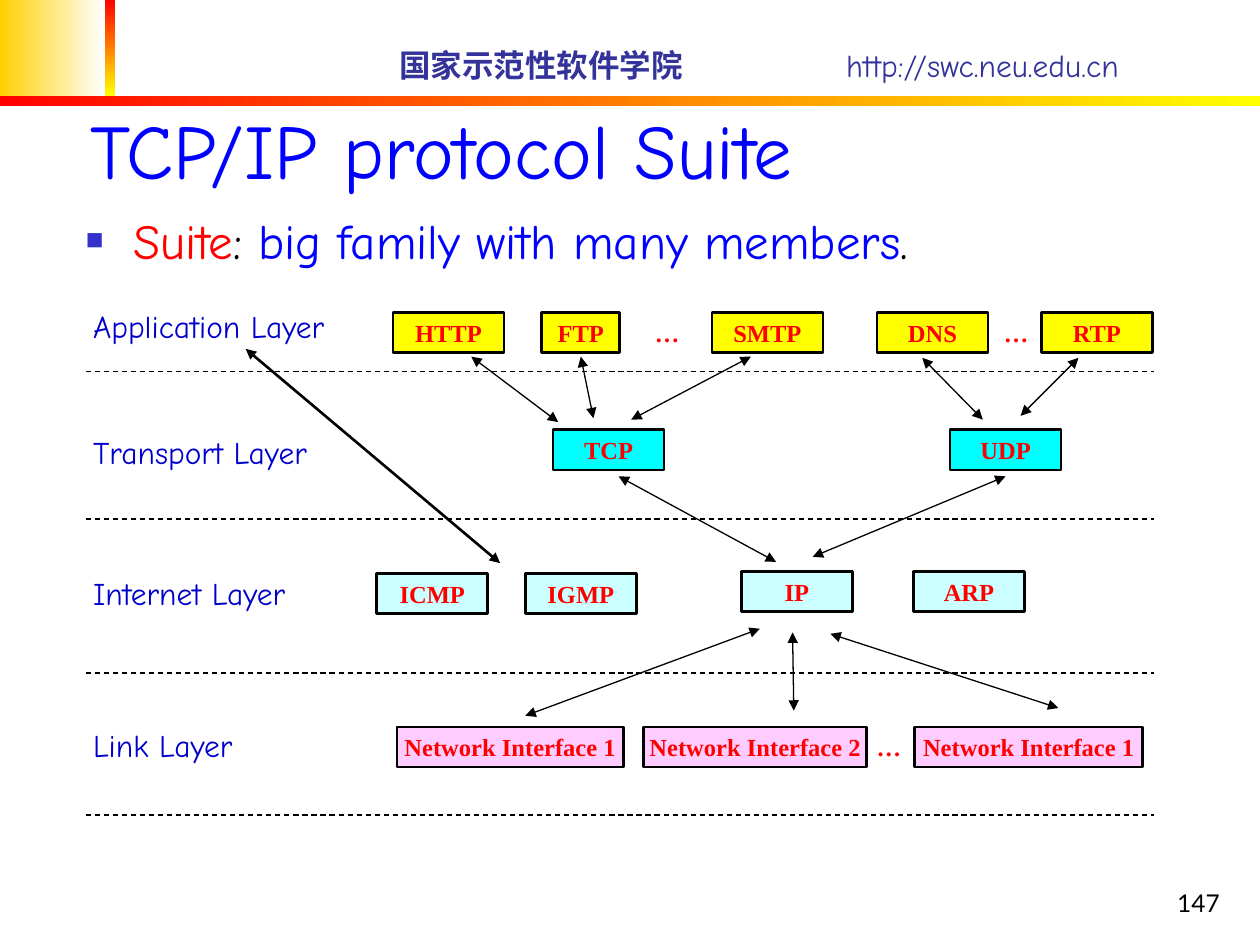
import pptx
import pptx.dml.color
import pptx.enum.dml
import pptx.enum.shapes
import pptx.enum.text
import pptx.oxml.ns
import pptx.util
from lxml import etree

Pt = pptx.util.Pt
qn = pptx.oxml.ns.qn
ALIGN = pptx.enum.text.PP_ALIGN
ANCHOR = pptx.enum.text.MSO_ANCHOR
RECT = pptx.enum.shapes.MSO_SHAPE.RECTANGLE
STRAIGHT = pptx.enum.shapes.MSO_CONNECTOR.STRAIGHT


def rgb(value):
    return pptx.dml.color.RGBColor.from_string(value)


class SlideBuilder:
    HAND = "Comic Neue"
    SERIF = "Times New Roman"
    BLACK = "000000"
    RED = "FF0000"
    BLUE = "0000FF"
    BOX_HEIGHT = 23

    def __init__(self, slide):
        self.s = slide

    def run(self, p, text, size, color, font=HAND, bold=False):
        r = p.add_run()
        r.text = text
        r.font.size = Pt(size)
        r.font.name = font
        r.font.bold = bold
        r.font.color.rgb = rgb(color)

    def place(self, sp, x, y, w, h):
        sp.left, sp.top, sp.width, sp.height = Pt(x), Pt(y), Pt(w), Pt(h)

    def frame(self, sp, anchor, wrap=True, align=ALIGN.LEFT):
        """Set up the text frame and return its first paragraph."""
        tf = sp.text_frame
        tf.auto_size = pptx.enum.text.MSO_AUTO_SIZE.NONE
        tf.word_wrap = wrap
        tf.vertical_anchor = anchor
        p = tf.paragraphs[0]
        p.alignment = align
        return p

    def title(self, text):
        sp = self.s.shapes.title
        self.place(sp, 44.6, 0, 613.4, 115.2)
        self.run(self.frame(sp, ANCHOR.BOTTOM), text, 44, self.BLUE)

    def bullet(self, parts):
        sp = self.s.placeholders[1]
        self.place(sp, 41.8, 116.6, 641.5, 365.8)
        p = self.frame(sp, ANCHOR.TOP)
        pPr = p._p.get_or_add_pPr()
        pPr.set("marL", str(Pt(27)))
        pPr.set("indent", str(-Pt(27)))
        color = etree.SubElement(pPr, qn("a:buClr"))
        etree.SubElement(color, qn("a:srgbClr"), val="3333CC")
        etree.SubElement(pPr, qn("a:buSzPct"), val="60000")
        etree.SubElement(pPr, qn("a:buChar"), char="■")
        p.space_before = Pt(0)
        for text, part_color in parts:
            self.run(p, text, 28, part_color)

    def text(self, text, x, y, w, h, size, color, font=HAND, bold=False,
             anchor=ANCHOR.MIDDLE, wrap=True, align=ALIGN.LEFT):
        sp = self.s.shapes.add_textbox(Pt(x), Pt(y), Pt(w), Pt(h))
        p = self.frame(sp, anchor, wrap, align)
        self.run(p, text, size, color, font, bold)

    def rect(self, x, y, w, h):
        sp = self.s.shapes.add_shape(RECT, Pt(x), Pt(y), Pt(w), Pt(h))
        sp.shadow.inherit = False
        return sp

    def gradient(self, x, y, w, h, start, end, angle=0):
        sp = self.rect(x, y, w, h)
        sp.line.fill.background()
        sp.fill.gradient()
        sp.fill.gradient_angle = angle
        for stop, position, color in zip(sp.fill.gradient_stops, (0, 1), (start, end)):
            stop.position = position
            stop.color.rgb = rgb(color)

    def protocol(self, name, x, y, w, fill):
        sp = self.rect(x, y, w, self.BOX_HEIGHT)
        sp.fill.solid()
        sp.fill.fore_color.rgb = rgb(fill)
        sp.line.color.rgb = rgb(self.BLACK)
        sp.line.width = Pt(1.5)
        p = self.frame(sp, ANCHOR.MIDDLE, False, ALIGN.CENTER)
        self.run(p, name, 14, self.RED, self.SERIF, True)

    def ellipsis(self, x, y):
        self.text("…", x, y, 36.7, self.BOX_HEIGHT, 14, self.RED, self.SERIF, True,
                  wrap=False, align=ALIGN.CENTER)

    def line(self, x1, y1, x2, y2, width=0.75):
        c = self.s.shapes.add_connector(STRAIGHT, Pt(x1), Pt(y1), Pt(x2), Pt(y2))
        c.line.color.rgb = rgb(self.BLACK)
        c.line.width = Pt(width)
        etree.SubElement(c._element.spPr, qn("a:effectLst"))
        return c

    def divider(self, y):
        c = self.line(49, y, 659.5, y)
        c.line.dash_style = pptx.enum.dml.MSO_LINE.DASH

    def arrow(self, x1, y1, x2, y2, width=0.75):
        """Draw a line with an arrowhead at both ends."""
        c = self.line(x1, y1, x2, y2, width)
        ln = c.line._get_or_add_ln()
        for end in ("a:headEnd", "a:tailEnd"):
            etree.SubElement(ln, qn(end), type="triangle")


# layer name, label top, divider below
LAYERS = [
    ("Application Layer", 170, 212.4),
    ("Transport Layer", 242, 296.6),
    ("Internet Layer", 322.6, 384.5),
    ("Link Layer", 409, 465.8),
]

# top, fill, boxes as (name, left, width)
ROWS = [
    (178.6, "FFFF00", [("HTTP", 224.6, 63.4), ("FTP", 309.6, 44.6), ("SMTP", 406.8, 63.4),
                       ("DNS", 501.1, 63.4), ("RTP", 595.1, 63.4)]),
    (245.5, "00FFFF", [("TCP", 316.1, 63.4), ("UDP", 542.9, 63.4)]),
    (327.6, "CCFFFF", [("ICMP", 215.3, 63.4), ("IGMP", 300.2, 63.4)]),
    (326.6, "CCFFFF", [("IP", 423.7, 63.4), ("ARP", 522, 63.4)]),
    (415.4, "FFCCFF", [("Network Interface 1", 226.8, 129.6),
                       ("Network Interface 2", 367.9, 127.4),
                       ("Network Interface 1", 522.7, 130.3)]),
]

ELLIPSES = [(362.9, 178.6), (562.3, 178.6), (489.6, 415.4)]

ARROWS = [
    (269.3, 203.8, 319, 241.2),    # HTTP - TCP
    (331.9, 203.8, 339.1, 239),    # FTP - TCP
    (429.1, 203.8, 360.7, 239.8),  # SMTP - TCP
    (527, 204.5, 561.6, 239.8),    # DNS - UDP
    (616.3, 204.5, 583.2, 237.6),  # RTP - UDP
    (353.5, 272.2, 443.5, 321.1),  # TCP - IP
    (574.6, 272.2, 464.4, 318.2),  # UDP - IP
    (434.2, 359.3, 300.2, 409),    # IP - first interface
    (452.9, 361.4, 453.6, 406.1),  # IP - second interface
    (474.5, 362.2, 604.8, 404.6),  # IP - last interface
    (140.4, 199.4, 285.8, 321.8, 1.5),  # application - ICMP and IGMP
]


def main():
    prs = pptx.Presentation()
    prs.slide_width, prs.slide_height = Pt(720), Pt(540)
    b = SlideBuilder(prs.slides.add_slide(prs.slide_layouts[1]))

    b.gradient(0, 0, 59.8, 54.7, "FFCF01", "FFFFFF")
    b.gradient(59.8, 0, 5.8, 54.7, "FF0000", "FFFF00", 270)
    b.gradient(0, 54.7, 720, 5.8, "FF0000", "FFFF00")
    b.text("国家示范性软件学院", 221, 23, 200, 28.8, 18, "333399", bold=True)
    b.text("http://swc.neu.edu.cn", 476.5, 23, 227, 28.8, 18, "333399")
    b.text("147", 554.4, 491.8, 149.8, 36, 14, b.BLACK, "Lato",
           anchor=ANCHOR.BOTTOM, align=ALIGN.RIGHT)

    b.title("TCP/IP protocol Suite")
    b.bullet([("Suite", b.RED), (": ", b.BLACK),
              ("big family with many members", b.BLUE), (".", b.BLACK)])

    for name, top, divider_y in LAYERS:
        b.divider(divider_y)
        b.text(name, 46.1, top, 139.7, 33, 18, "0000CC", wrap=False)
    for top, fill, boxes in ROWS:
        for name, left, width in boxes:
            b.protocol(name, left, top, width, fill)
    for x, y in ELLIPSES:
        b.ellipsis(x, y)
    for ends in ARROWS:
        b.arrow(*ends)

    prs.save("out.pptx")


if __name__ == "__main__":
    main()
